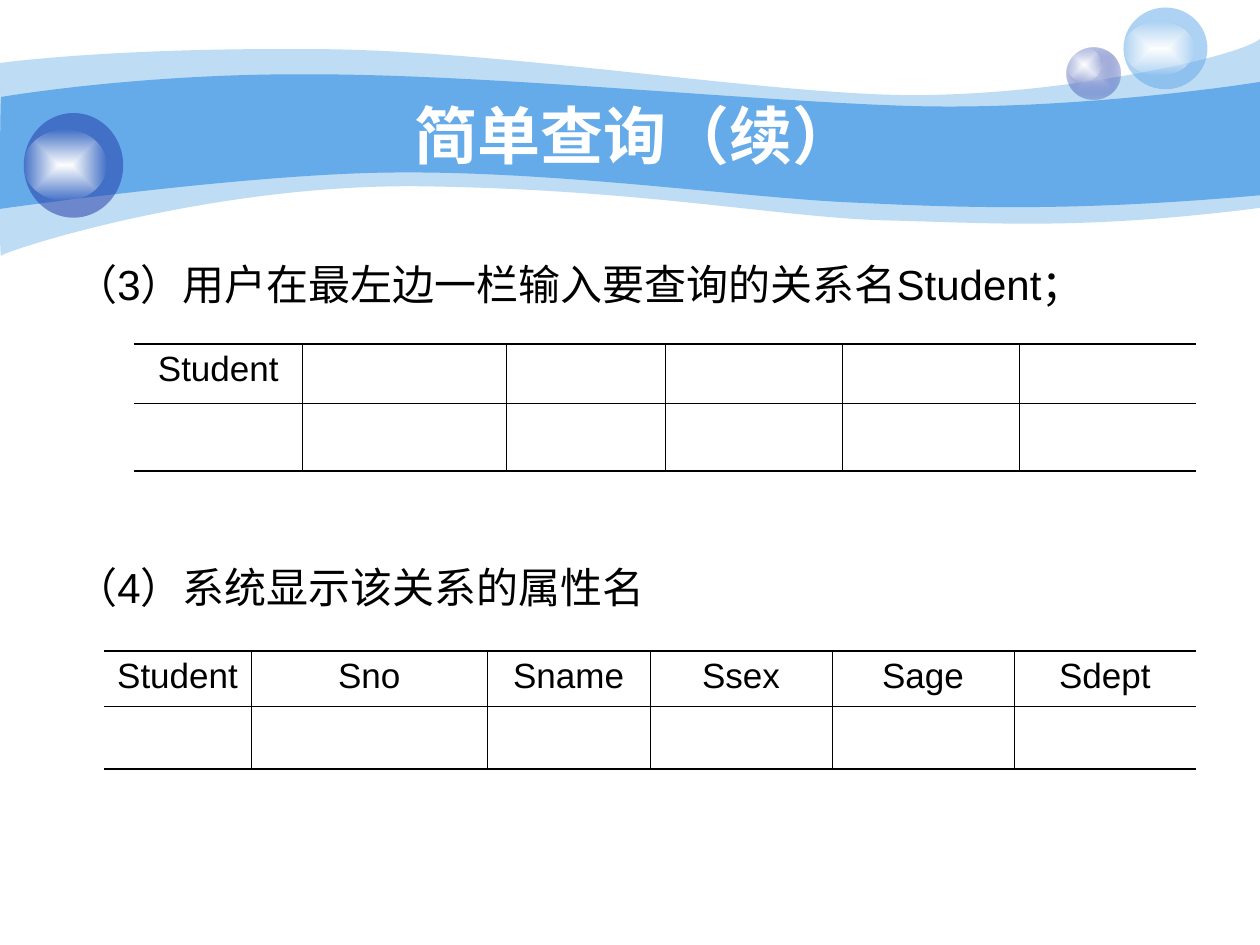
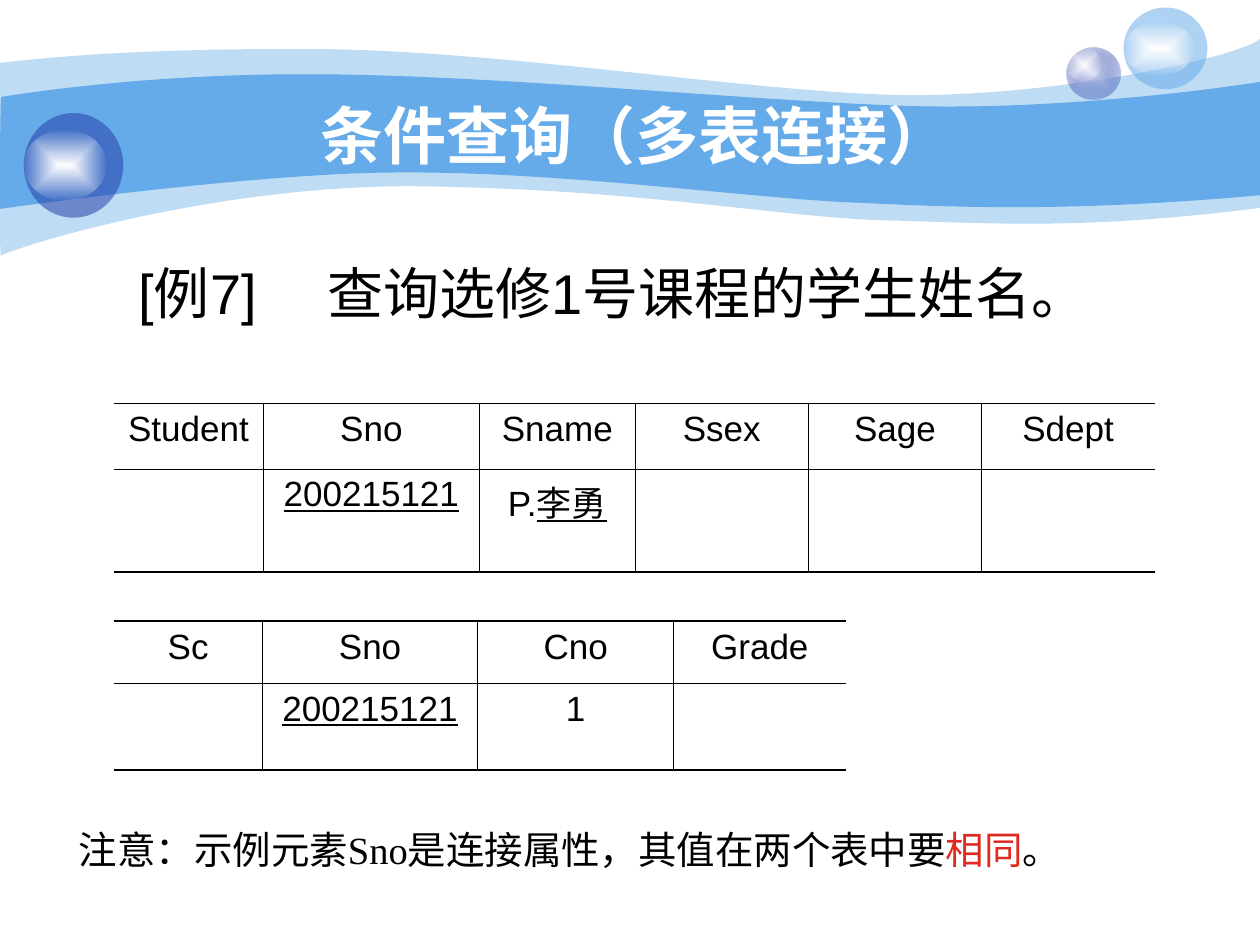
from dataclasses import dataclass
from typing import NamedTuple, Optional

from lxml import etree
from pptx import Presentation
from pptx import util as u
from pptx.dml import color as dml
from pptx.enum import shapes, text
from pptx.oxml import ns

Pt = u.Pt


# Theme: colours, fonts, type sizes and line widths in one place
@dataclass(frozen=True)
class Theme:
    sky: str = "65AAE9"
    navy: str = "233DA9"
    mist: str = "C7CEE9"
    white: str = "FFFFFF"
    ink: str = "000000"
    accent: str = "E02920"
    sans: str = "Arial"
    serif: str = "Times New Roman"
    title: float = 36
    example: float = 32
    step: float = 24
    note: float = 22
    cell: float = 20
    thick: float = 1.08
    thin: float = 0.45


THEME = Theme()


class Area(NamedTuple):
    left: float
    top: float
    width: float
    height: float


class Tint(NamedTuple):
    color: str
    opacity: int = 100


class Span(NamedTuple):
    text: str
    color: str = THEME.ink
    underline: bool = False


class Bubble(NamedTuple):
    ball: Area
    ball_tints: tuple[Tint, ...]
    shine: Area


@dataclass(frozen=True)
class TextStyle:
    size: float
    font: str = THEME.sans
    bold: bool = False
    align: text.PP_ALIGN = text.PP_ALIGN.LEFT
    anchor: text.MSO_ANCHOR = text.MSO_ANCHOR.TOP
    line_spacing: Optional[float] = None
    tab: Optional[float] = None


@dataclass(frozen=True)
class Grid:
    left: float
    top: float
    columns: tuple[float, ...]
    rows: tuple[float, ...]
    header: tuple[str, ...]
    values: dict[int, tuple[Span, ...]]


TITLE = TextStyle(THEME.title, bold=True, align=text.PP_ALIGN.CENTER,
                  anchor=text.MSO_ANCHOR.MIDDLE)
STEP = TextStyle(THEME.step)
EXAMPLE = TextStyle(THEME.example, tab=108)
NOTE = TextStyle(THEME.note, THEME.serif, line_spacing=1.2)
CELL = TextStyle(THEME.cell, align=text.PP_ALIGN.CENTER)

# Each wave: a start point, three curves, a straight right edge, four curves
WAVE_CURVE_STARTS = (0, 3, 6, 10, 13, 16, 19)
OUTER_WAVE = (
    (0, 36), (17.3, 33.8), (77, 27.4), (177.8, 28.1),
    (277.9, 28.1), (414, 50.4), (503.3, 54),
    (591.8, 57.6), (705.6, 33.8), (720, 22.3),
    (720, 118.8), (617.8, 131.8), (566.6, 127.4), (507.6, 126),
    (447.8, 124.6), (370.8, 108.7), (247, 106.6),
    (123.8, 103.7), (2.9, 143.3), (0.7, 146.2),
    (-0.7, 149.8), (0, 54), (0, 36),
)
INNER_WAVE = (
    (0.7, 55.4), (1.4, 55.4), (79.2, 41.8), (178.6, 42.5),
    (277.9, 42.5), (428.4, 57.6), (517, 60.5),
    (605.5, 63.4), (702.7, 49.7), (720, 46.8),
    (720, 111.6), (614.2, 121), (550.8, 118.8), (491, 115.9),
    (431.3, 113.8), (321.8, 97.9), (228.2, 98.6),
    (146.2, 98.6), (-1.4, 119.5), (-0.7, 119.5),
    (0, 119.5), (0, 55.4), (0.7, 55.4),
)

SHINE = (Tint(THEME.white), Tint(THEME.white, 0))
BUBBLES = (
    Bubble(Area(609.5, 27, 31, 29.5), (Tint(THEME.mist), Tint(THEME.navy, 31)),
           Area(609.5, 27, 20, 19.5)),
    Bubble(Area(642, 4.3, 48, 46.7), (Tint(THEME.sky, 53),),
           Area(642, 12.2, 40.3, 31)),
    Bubble(Area(13.6, 64.6, 56.8, 59.8), (Tint(THEME.navy, 53),),
           Area(13.6, 74.2, 47.5, 40.3)),
)


# Shape helpers
def paint(shape, tints: tuple[Tint, ...]) -> None:
    """Fill with one tint, or with a gradient from the centre outwards."""
    shape.shadow.inherit = False
    shape.line.fill.background()
    properties = shape._element.spPr
    if len(tints) == 1:
        shape.fill.solid()
        shape.fill.fore_color.rgb = dml.RGBColor.from_string(tints[0].color)
    else:
        shape.fill.gradient()
        for stop, tint in zip(shape.fill.gradient_stops, tints):
            stop.color.rgb = dml.RGBColor.from_string(tint.color)
        gradient = properties.find(ns.qn("a:gradFill"))
        gradient.remove(gradient.find(ns.qn("a:lin")))
        spread = etree.SubElement(gradient, ns.qn("a:path"), {"path": "rect"})
        etree.SubElement(spread, ns.qn("a:fillToRect"),
                         dict.fromkeys("ltrb", "50000"))
    for node, tint in zip(properties.iter(ns.qn("a:srgbClr")), tints):
        if tint.opacity < 100:
            etree.SubElement(node, ns.qn("a:alpha"),
                             {"val": str(tint.opacity * 1000)})


def add_wave(page, points: tuple[tuple[float, float], ...], tint: Tint) -> None:
    start, *rest = [(Pt(x), Pt(y)) for x, y in points]
    builder = page.shapes.build_freeform(*start, scale=1.0)
    builder.add_line_segments(rest, close=True)
    wave = builder.convert_to_shape()
    outline = wave._element.find(".//" + ns.qn("a:path"))
    segments = outline.findall(ns.qn("a:lnTo"))
    for first in WAVE_CURVE_STARTS:
        curve = etree.Element(ns.qn("a:cubicBezTo"))
        segments[first].addprevious(curve)
        for segment in segments[first:first + 3]:
            curve.append(segment[0])
            outline.remove(segment)
    paint(wave, (tint,))


def add_bubble(page, bubble: Bubble) -> None:
    group = page.shapes.add_group_shape()
    for area, tints in ((bubble.ball, bubble.ball_tints), (bubble.shine, SHINE)):
        oval = group.shapes.add_shape(shapes.MSO_SHAPE.OVAL, *map(Pt, area))
        paint(oval, tints)


# Text and table helpers
def write(frame, spans: tuple[Span, ...], style: TextStyle) -> None:
    para = frame.paragraphs[0]
    para.text = spans[0].text
    for span in spans[1:]:
        para.add_run().text = span.text
    para.alignment = style.align
    if style.line_spacing:
        para.line_spacing = style.line_spacing
    if style.tab:
        stops = etree.SubElement(para._p.get_or_add_pPr(), ns.qn("a:tabLst"))
        etree.SubElement(stops, ns.qn("a:tab"),
                         {"pos": str(Pt(style.tab)), "algn": "l"})
    for run, span in zip(para.runs, spans):
        run.font.name = style.font
        run.font.size = Pt(style.size)
        run.font.bold = style.bold
        run.font.underline = span.underline
        run.font.color.rgb = dml.RGBColor.from_string(span.color)


def add_text(page, area: Area, style: TextStyle, *spans: Span) -> None:
    box = page.shapes.add_textbox(*map(Pt, area))
    box.text_frame.word_wrap = True
    box.text_frame.vertical_anchor = style.anchor
    write(box.text_frame, spans, style)


def add_border(cell, side: str, width: float) -> None:
    border = etree.SubElement(cell._tc.get_or_add_tcPr(), ns.qn(f"a:ln{side}"),
                              {"w": str(Pt(width))})
    if width:
        fill = etree.SubElement(border, ns.qn("a:solidFill"))
        etree.SubElement(fill, ns.qn("a:srgbClr"), {"val": THEME.ink})
    else:
        etree.SubElement(border, ns.qn("a:noFill"))


def add_grid(page, grid: Grid) -> None:
    """Draw a header row and one value row, open at the left and right."""
    size = len(grid.rows), len(grid.columns)
    area = Area(grid.left, grid.top, sum(grid.columns), sum(grid.rows))
    table = page.shapes.add_table(*size, *map(Pt, area)).table
    table.first_row = table.horz_banding = False
    for column, width in zip(table.columns, grid.columns):
        column.width = Pt(width)
    for row, height in zip(table.rows, grid.rows):
        row.height = Pt(height)
    contents = {(0, i): (Span(name),) for i, name in enumerate(grid.header)}
    contents |= {(1, i): spans for i, spans in grid.values.items()}
    last_row, last_column = size[0] - 1, size[1] - 1
    for r in range(size[0]):
        for c in range(size[1]):
            cell = table.cell(r, c)
            add_border(cell, "L", THEME.thin if c else 0)
            add_border(cell, "R", THEME.thin if c < last_column else 0)
            add_border(cell, "T", THEME.thin if r else THEME.thick)
            add_border(cell, "B", THEME.thin if r < last_row else THEME.thick)
            cell.fill.background()
            if (r, c) in contents:
                write(cell.text_frame, contents[r, c], CELL)


def add_page(deck, title: str):
    """Add a slide with the wave band, the bubbles and its title."""
    page = deck.slides.add_slide(deck.slide_layouts[6])
    add_wave(page, OUTER_WAVE, Tint(THEME.sky, 41))
    add_wave(page, INNER_WAVE, Tint(THEME.sky))
    for bubble in BUBBLES:
        add_bubble(page, bubble)
    add_text(page, Area(72, 54, 582, 45), TITLE, Span(title, THEME.white))
    return page


# Slides
STUDENT = ("Student", "Sno", "Sname", "Ssex", "Sage", "Sdept")
STUDENT_NUMBER = (Span("200215121", underline=True),)


def add_simple_query(deck) -> None:
    page = add_page(deck, "简单查询（续）")
    add_text(page, Area(36, 144, 653, 42), STEP,
             Span("（3）用户在最左边一栏输入要查询的关系名Student；"))
    add_grid(page, Grid(76.5, 196.5, (96.5, 116.5, 91, 101, 101, 101),
                        (34, 38.5), STUDENT[:1], {}))
    add_text(page, Area(36, 317.5, 653, 42), STEP,
             Span("（4）系统显示该关系的属性名"))
    add_grid(page, Grid(59.5, 372, (84, 135, 93, 104, 104, 104),
                        (31.5, 36), STUDENT, {}))


def add_join_query(deck) -> None:
    page = add_page(deck, "条件查询（多表连接）")
    add_text(page, Area(72, 144, 588, 54), EXAMPLE,
             Span("[例7]\t查询选修1号课程的学生姓名。"))
    add_grid(page, Grid(65, 230.5, (85.5, 123.5, 89, 99, 99, 99), (37.5, 59),
                        STUDENT, {1: STUDENT_NUMBER,
                                  2: (Span("P."), Span("李勇", underline=True))}))
    add_grid(page, Grid(65, 355, (85, 123, 112, 98.5), (35.5, 49.5),
                        ("Sc", "Sno", "Cno", "Grade"),
                        {1: STUDENT_NUMBER, 2: (Span("1"),)}))
    add_text(page, Area(38, 463, 605, 42), NOTE,
             Span("注意：示例元素Sno是连接属性，其值在两个表中要"),
             Span("相同", THEME.accent), Span("。"))


def main() -> None:
    deck = Presentation()
    deck.slide_width, deck.slide_height = Pt(720), Pt(540)
    add_simple_query(deck)
    add_join_query(deck)
    deck.save("out.pptx")


if __name__ == "__main__":
    main()
